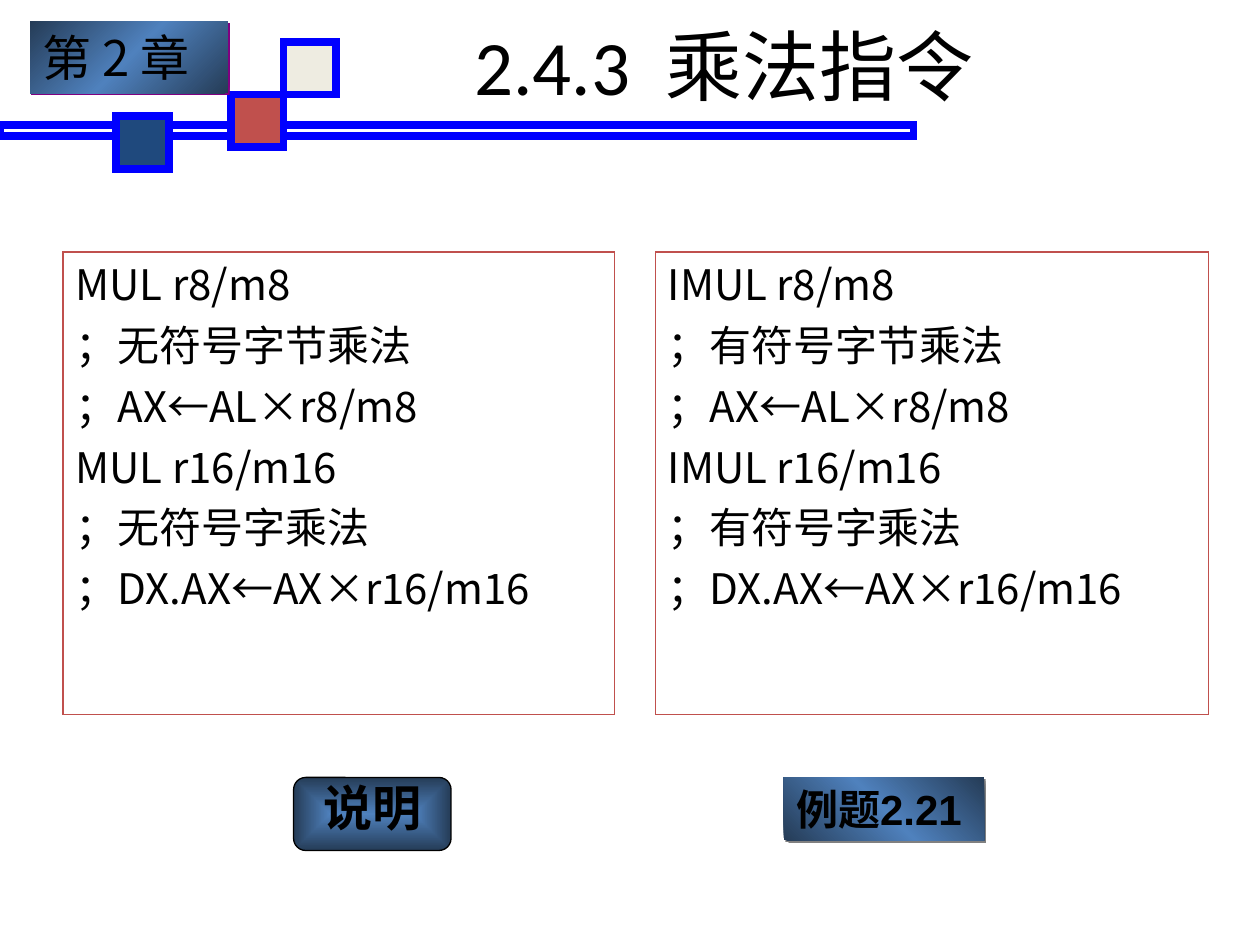
from lxml import etree
from pptx import Presentation
from pptx.dml.color import RGBColor
from pptx.enum.shapes import MSO_SHAPE
from pptx.enum.text import MSO_ANCHOR, MSO_AUTO_SIZE, PP_ALIGN
from pptx.oxml.ns import qn
from pptx.util import Inches, Pt

RECTANGLE, ROUNDED = MSO_SHAPE.RECTANGLE, MSO_SHAPE.ROUNDED_RECTANGLE
TOP, MIDDLE = MSO_ANCHOR.TOP, MSO_ANCHOR.MIDDLE
LEFT, CENTER = PP_ALIGN.LEFT, PP_ALIGN.CENTER
NO_AUTOFIT = MSO_AUTO_SIZE.NONE

BLACK = RGBColor(0x00, 0x00, 0x00)
WHITE = RGBColor(0xFF, 0xFF, 0xFF)
BLUE = RGBColor(0x00, 0x00, 0xFF)
RED = RGBColor(0xC0, 0x50, 0x4D)
NAVY = RGBColor(0x1F, 0x49, 0x7D)
CREAM = RGBColor(0xEE, 0xEC, 0xE1)
STEEL = RGBColor(0x4F, 0x81, 0xBD)
DARK_STEEL = RGBColor(0x25, 0x3C, 0x57)
GRAY = RGBColor(0x80, 0x80, 0x80)
PURPLE = RGBColor(0x80, 0x00, 0x80)

CJK_FONT = "Noto Sans CJK SC"
CHAPTER_FONT = "Noto Sans CJK JP"


def add_element(parent, tag, **attributes):
    return etree.SubElement(parent, qn(tag), {key: str(value) for key, value in attributes.items()})


class SlideBuilder:
    def __init__(self, slide):
        self.slide = slide

    def place(self, shape, left, top, width, height):
        shape.left, shape.top = Inches(left), Inches(top)
        shape.width, shape.height = Inches(width), Inches(height)

    def outline(self, shape, color, width):
        """Draw a border with sharp corners."""
        shape.line.color.rgb = color
        shape.line.width = Pt(width)
        add_element(shape._element.spPr.find(qn("a:ln")), "a:miter", lim=800000)

    def format_paragraph(self, paragraph, font, size, bold=False, align=LEFT):
        paragraph.alignment = align
        paragraph.font.name = font
        paragraph.font.size = Pt(size)
        paragraph.font.bold = bold
        paragraph.font.color.rgb = BLACK
        properties = paragraph._p.pPr.find(qn("a:defRPr"))
        east_asian = font if font == CHAPTER_FONT else CJK_FONT
        add_element(properties, "a:ea", typeface=east_asian)

    def title(self, text, *box):
        title = self.slide.shapes.title
        self.place(title, *box)
        title.text_frame.text = text
        title.text_frame.auto_size = NO_AUTOFIT
        title.text_frame.vertical_anchor = MIDDLE
        self.format_paragraph(title.text_frame.paragraphs[0], "Calibri", 44, align=CENTER)

    def instruction_list(self, index, lines, *box):
        body = self.slide.placeholders[index]
        self.place(body, *box)
        body.fill.solid()
        body.fill.fore_color.rgb = WHITE
        self.outline(body, RED, 0.75)
        frame = body.text_frame
        frame.text = "\n".join(lines)
        frame.auto_size = NO_AUTOFIT
        for number, paragraph in enumerate(frame.paragraphs):
            paragraph.line_spacing = 1.0
            paragraph.space_before = Pt(6 if number else 0)
            properties = paragraph._p.get_or_add_pPr()
            properties.set("marL", str(Inches(0.38)))
            properties.set("indent", str(-Inches(0.38)))
            add_element(properties, "a:buNone")
            self.format_paragraph(paragraph, CJK_FONT, 24)

    def box(self, kind, left, top, width, height, fill=None, line=None, line_width=4.5):
        shape = self.slide.shapes.add_shape(
            kind, Inches(left), Inches(top), Inches(width), Inches(height))
        shape.shadow.inherit = False
        if fill is None:
            shape.fill.background()
        else:
            shape.fill.solid()
            shape.fill.fore_color.rgb = fill
        if line is None:
            shape.line.fill.background()
        else:
            self.outline(shape, line, line_width)
        return shape

    def gradient(self, shape, colors, angle=None):
        """Fill with evenly spaced colours: linear at an angle, or from the centre."""
        properties = shape._element.spPr
        fill = etree.Element(qn("a:gradFill"), rotWithShape="1")
        stops = add_element(fill, "a:gsLst")
        for number, color in enumerate(colors):
            stop = add_element(stops, "a:gs", pos=100000 * number // (len(colors) - 1))
            add_element(stop, "a:srgbClr", val=color)
        if angle is None:
            center = add_element(fill, "a:path", **{"path": "rect"})
            add_element(center, "a:fillToRect", l=50000, t=50000, r=50000, b=50000)
        else:
            add_element(fill, "a:lin", ang=angle * 60000, scaled=1)
        properties.replace(properties.find(qn("a:noFill")), fill)

    def shadow(self, shape, color):
        effects = shape._element.spPr.find(qn("a:effectLst"))
        shadow = add_element(effects, "a:outerShdw", dist=Pt(1.4), dir=45 * 60000,
                             algn="ctr", rotWithShape=0)
        add_element(shadow, "a:srgbClr", val=color)

    def label(self, shape, text, font, size, bold=False, align=LEFT, anchor=TOP):
        frame = shape.text_frame
        frame.text = text
        frame.word_wrap = False
        frame.vertical_anchor = anchor
        self.format_paragraph(frame.paragraphs[0], font, size, bold, align)

    def shaded_label(self, text, font, size, bold, angle, shadow_color, *box):
        shape = self.box(RECTANGLE, *box)
        self.gradient(shape, (DARK_STEEL, STEEL, DARK_STEEL), angle)
        self.shadow(shape, shadow_color)
        self.label(shape, text, font, size, bold)

    def button(self, text, *box):
        shape = self.box(ROUNDED, *box, line=BLACK, line_width=0.75)
        self.gradient(shape, (STEEL, DARK_STEEL))
        self.label(shape, text, "Arial", 28, True, CENTER, MIDDLE)
        shape.text_frame.paragraphs[0].line_spacing = 0.7


def multiply_lines(mnemonic, sign):
    return (f"{mnemonic} r8/m8", f"；{sign}符号字节乘法", "；AX←AL×r8/m8",
            f"{mnemonic} r16/m16", f"；{sign}符号字乘法", "；DX.AX←AX×r16/m16")


def main():
    presentation = Presentation()
    presentation.slide_width, presentation.slide_height = Inches(10), Inches(7.5)
    slide = presentation.slides.add_slide(presentation.slide_layouts[3])
    builder = SlideBuilder(slide)

    builder.title("2.4.3  乘法指令", 2.87, 0.21, 5.75, 0.61)
    builder.instruction_list(1, multiply_lines("MUL", "无"), 0.5, 2, 4.38, 3.67)
    builder.instruction_list(2, multiply_lines("IMUL", "有"), 5.2, 2, 4.39, 3.67)
    builder.shaded_label("例题2.21", "Arial", 24, True, 315, GRAY, 6.22, 6.17, 1.59, 0.5)
    builder.button("说明", 2.33, 6.17, 1.25, 0.58)

    builder.box(RECTANGLE, 0, 0.99, 7.25, 0.09, line=BLUE)
    for left, top, color in ((1.83, 0.75, RED), (0.92, 0.92, NAVY), (2.25, 0.33, CREAM)):
        builder.box(RECTANGLE, left, top, 0.42, 0.42, color, BLUE)
    builder.shaded_label("第 2 章", CHAPTER_FONT, 28, False, 45, PURPLE, 0.24, 0.17, 1.57, 0.57)

    presentation.save("out.pptx")


if __name__ == "__main__":
    main()
